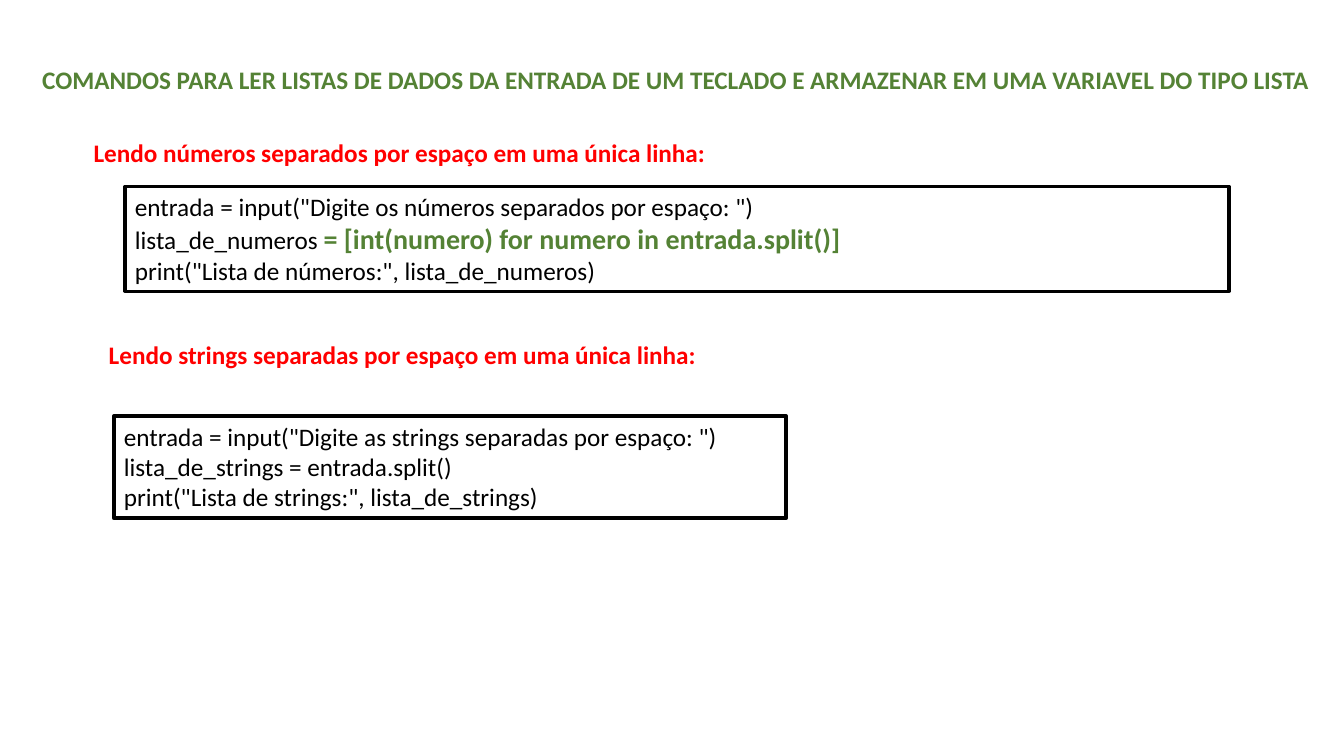
import pptx
import pptx.dml.color
import pptx.enum.shapes
import pptx.enum.text
import pptx.util

COLORS = {"title": "548235", "heading": "FF0000", "code": "000000", "line": "000000"}
FORMATS = {
    "title": {"size": pptx.util.Pt(18), "bold": True},
    "heading": {"size": pptx.util.Pt(18), "bold": True},
    "code": {"size": pptx.util.Pt(18), "bold": False},
    "key": {"size": pptx.util.Pt(20), "bold": True},
}
COLORS["key"] = COLORS["title"]
WIDTH, HEIGHT = 13.33, 7.5


def rgb(name):
    return pptx.dml.color.RGBColor.from_string(COLORS[name])


def inches(box):
    return [pptx.util.Inches(v) for v in box]


def write(sp, lines, wrap=True):
    """Fill a shape with lines, each a list of (text, style) runs."""
    tf = sp.text_frame
    tf.word_wrap = wrap
    tf.auto_size = pptx.enum.text.MSO_AUTO_SIZE.SHAPE_TO_FIT_TEXT
    for i, line in enumerate(lines):
        p = tf.paragraphs[0] if i == 0 else tf.add_paragraph()
        p.alignment = pptx.enum.text.PP_ALIGN.LEFT
        for text, style in line:
            r = p.add_run()
            r.text = text
            r.font.name = "Calibri"
            r.font.color.rgb = rgb(style)
            for name, value in FORMATS[style].items():
                setattr(r.font, name, value)


def add_label(s, box, text, style, wrap=True):
    write(s.shapes.add_textbox(*inches(box)), [[(text, style)]], wrap)


def add_code(s, box, lines, weight):
    sp = s.shapes.add_shape(pptx.enum.shapes.MSO_SHAPE.RECTANGLE, *inches(box))
    sp.shadow.inherit = False
    sp.fill.background()
    sp.line.color.rgb = rgb("line")
    sp.line.width = pptx.util.Pt(weight)
    sp.text_frame.vertical_anchor = pptx.enum.text.MSO_ANCHOR.TOP
    write(sp, lines)


def add_example(s, box, heading, lines, code_box, weight):
    """Place a red heading and its framed code; code_box is relative to box."""
    left, top, width, height = box
    dx, dy, code_width, code_height = code_box
    add_label(s, (left, top, width, height), heading, "heading")
    add_code(s, (left + dx, top + dy, code_width, code_height), lines, weight)


def main():
    prs = pptx.Presentation()
    prs.slide_width, prs.slide_height = inches((WIDTH, HEIGHT))
    s = prs.slides.add_slide(prs.slide_layouts[6])

    # Title
    add_label(s, (0.32, 0.59, 12.89, 0.4),
              "COMANDOS PARA LER LISTAS DE DADOS DA ENTRADA DE UM TECLADO "
              "E ARMAZENAR EM UMA VARIAVEL DO TIPO LISTA", "title", wrap=False)

    # Reading numbers
    add_example(s, (0.83, 1.31, WIDTH / 2, 0.4),
                "Lendo números separados por espaço em uma única linha:",
                [[('entrada = input("Digite os números separados por espaço: ")', "code")],
                 [("lista_de_numeros ", "code"),
                  ("= [int(numero) for numero in entrada.split()]", "key")],
                 [('print("Lista de números:", lista_de_numeros)', "code")]],
                (0.41, 0.54, 10.95, 1.04), 2.25)

    # Reading strings
    add_example(s, (0.98, 3.32, WIDTH / 2, 0.4),
                "Lendo strings separadas por espaço em uma única linha:",
                [[('entrada = input("Digite as strings separadas por espaço: ")', "code")],
                 [("lista_de_strings = entrada.split()", "code")],
                 [('print("Lista de strings:", lista_de_strings)', "code")]],
                (0.15, 0.81, WIDTH / 2, 1.01), 3)

    prs.save("out.pptx")


if __name__ == "__main__":
    main()
